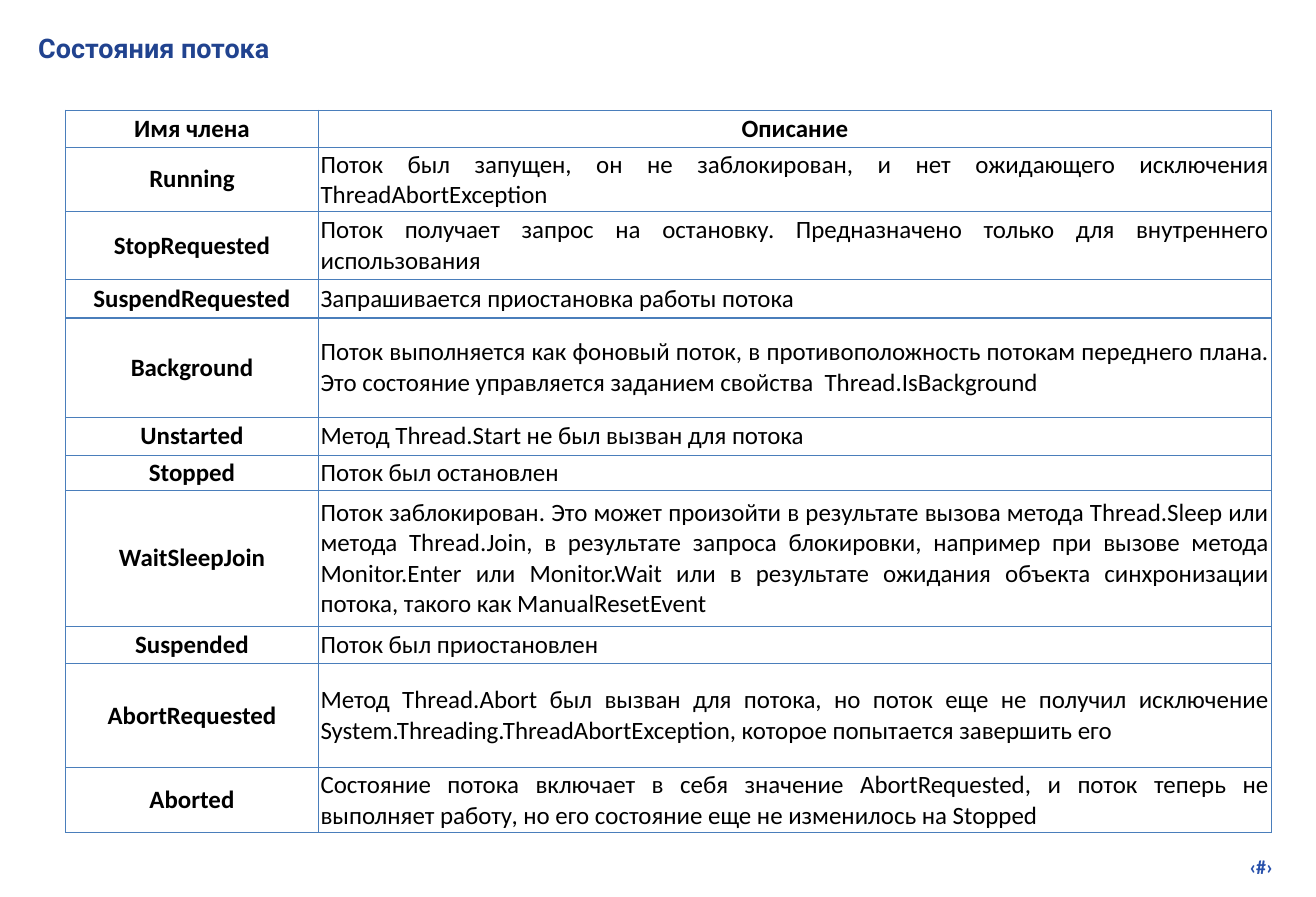
from lxml.etree import SubElement
from pptx import Presentation
from pptx.dml.color import RGBColor
from pptx.enum.text import MSO_ANCHOR as Anchor, PP_ALIGN as Align
from pptx.oxml.ns import qn
from pptx.util import Inches, Pt

BORDER = "4A7EBB"
TITLE_FONT = {"name": "Roboto", "size": Pt(16.2), "bold": True}
NUMBER_FONT = {"name": "Calibri", "size": Pt(12), "bold": True}
NAME_FONT = {"name": "Calibri", "size": Pt(15), "bold": True}
DESCRIPTION_FONT = {**NAME_FONT, "bold": False}

COLUMN_WIDTHS = (2.11, 7.97)
HEADER = ("Имя члена", "Описание")
HEADER_HEIGHT = 0.31
STATES = [
    ("Running", 0.49,
     "Поток был запущен, он не заблокирован, и нет ожидающего исключения "
     "ThreadAbortException"),
    ("StopRequested", 0.57,
     "Поток получает запрос на остановку. Предназначено только для внутреннего "
     "использования"),
    ("SuspendRequested", 0.32, "Запрашивается приостановка работы потока"),
    ("Background", 0.83,
     "Поток выполняется как фоновый поток, в противоположность потокам переднего плана. "
     "Это состояние управляется заданием свойства  Thread.IsBackground"),
    ("Unstarted", 0.32, "Метод Thread.Start не был вызван для потока"),
    ("Stopped", 0.23, "Поток был остановлен"),
    ("WaitSleepJoin", 1.14,
     "Поток заблокирован. Это может произойти в результате вызова метода Thread.Sleep или "
     "метода Thread.Join, в результате запроса блокировки, например при вызове метода "
     "Monitor.Enter или Monitor.Wait или в результате ожидания объекта синхронизации "
     "потока, такого как ManualResetEvent"),
    ("Suspended", 0.31, "Поток был приостановлен"),
    ("AbortRequested", 0.87,
     "Метод Thread.Abort был вызван для потока, но поток еще не получил исключение "
     "System.Threading.ThreadAbortException, которое попытается завершить его"),
    ("Aborted", 0.53,
     "Состояние потока включает в себя значение AbortRequested, и поток теперь не "
     "выполняет работу, но его состояние еще не изменилось на Stopped"),
]


def color(value):
    return RGBColor.from_string(value)


def set_margins(target, inset):
    for side in ("left", "top", "right", "bottom"):
        setattr(target, f"margin_{side}", Inches(inset))


def write(frame, text, font, text_color, align):
    paragraph = frame.paragraphs[0]
    paragraph.alignment = align
    run = paragraph.add_run()
    run.text = text
    for name, value in font.items():
        setattr(run.font, name, value)
    run.font.color.rgb = color(text_color)


def add_label(slide, box, text, font, text_color, align, anchor):
    shape = slide.shapes.add_textbox(*map(Inches, box))
    frame = shape.text_frame
    frame.word_wrap = True
    frame.vertical_anchor = anchor
    set_margins(frame, 0.05)
    write(frame, text, font, text_color, align)


def add_borders(cell):
    properties = cell._tc.get_or_add_tcPr()
    for index, side in enumerate(("lnL", "lnR", "lnT", "lnB")):
        line = properties.makeelement(qn(f"a:{side}"), {"w": str(Pt(0.75))})
        fill = SubElement(line, qn("a:solidFill"))
        SubElement(fill, qn("a:srgbClr"), val=BORDER)
        properties.insert(index, line)


def fill_cell(cell, text, font, align, inset=0.02):
    cell.fill.background()
    cell.vertical_anchor = Anchor.MIDDLE
    set_margins(cell, inset)
    write(cell.text_frame, text, font, "000000", align)
    add_borders(cell)


def add_state_table(slide, box):
    shape = slide.shapes.add_table(len(STATES) + 1, len(HEADER), *map(Inches, box))
    table = shape.table
    table.first_row = table.horz_banding = False
    for column, width in zip(table.columns, COLUMN_WIDTHS):
        column.width = Inches(width)
    table.rows[0].height = Inches(HEADER_HEIGHT)
    for index, (text, inset) in enumerate(zip(HEADER, (0.02, 0.01))):
        fill_cell(table.cell(0, index), text, NAME_FONT, Align.CENTER, inset)
    for index, (name, height, description) in enumerate(STATES, start=1):
        table.rows[index].height = Inches(height)
        fill_cell(table.cell(index, 0), name, NAME_FONT, Align.CENTER)
        fill_cell(table.cell(index, 1), description, DESCRIPTION_FONT, Align.JUSTIFY)
    shape.height = Inches(box[3])


def main():
    presentation = Presentation()
    presentation.slide_width = Inches(11)
    presentation.slide_height = Inches(7.5)
    slide = presentation.slides.add_slide(presentation.slide_layouts[6])
    add_label(slide, (8.36, 7.1, 2.33, 0.29), "‹#›", NUMBER_FONT, "2750AB",
              Align.RIGHT, Anchor.TOP)
    add_label(slide, (0.27, 0.2, 10.5, 0.4), "Состояния потока", TITLE_FONT, "21438F",
              Align.LEFT, Anchor.MIDDLE)
    add_state_table(slide, (0.55, 0.92, 10.08, 6.06))
    presentation.save("out.pptx")


if __name__ == "__main__":
    main()
